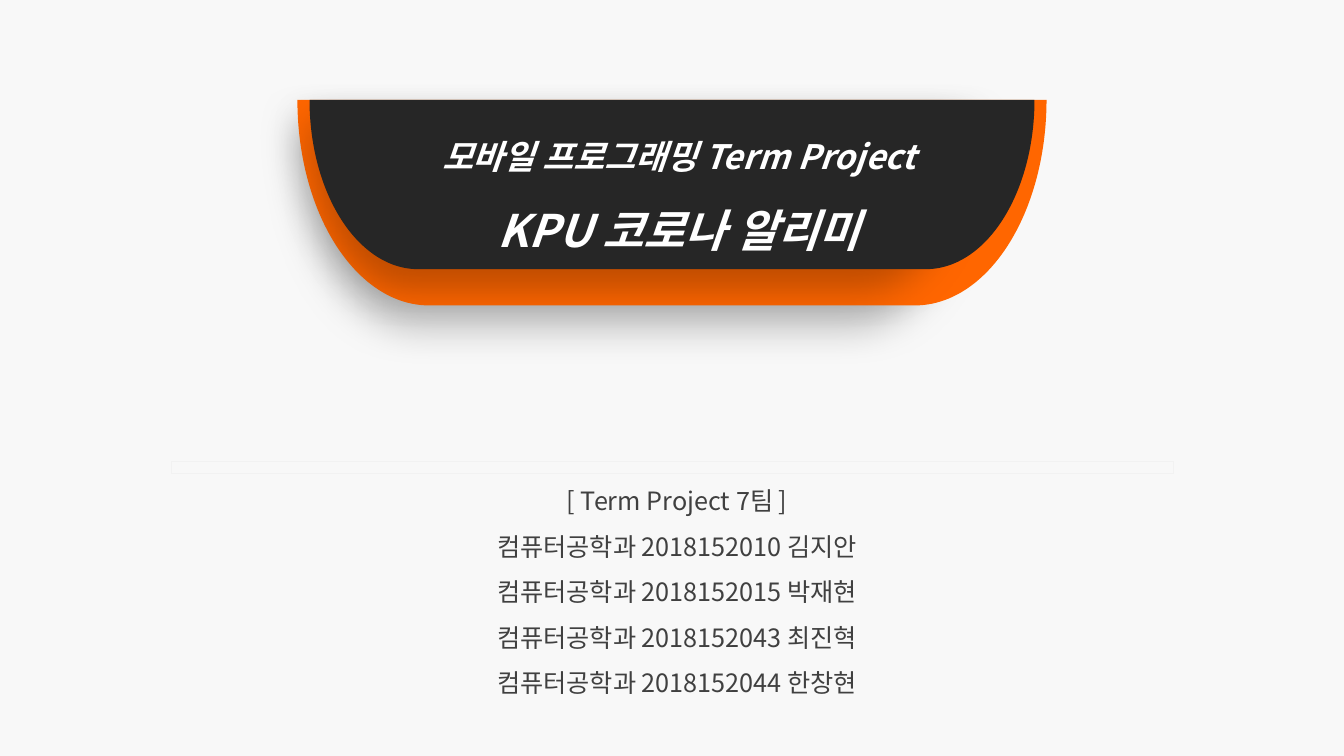
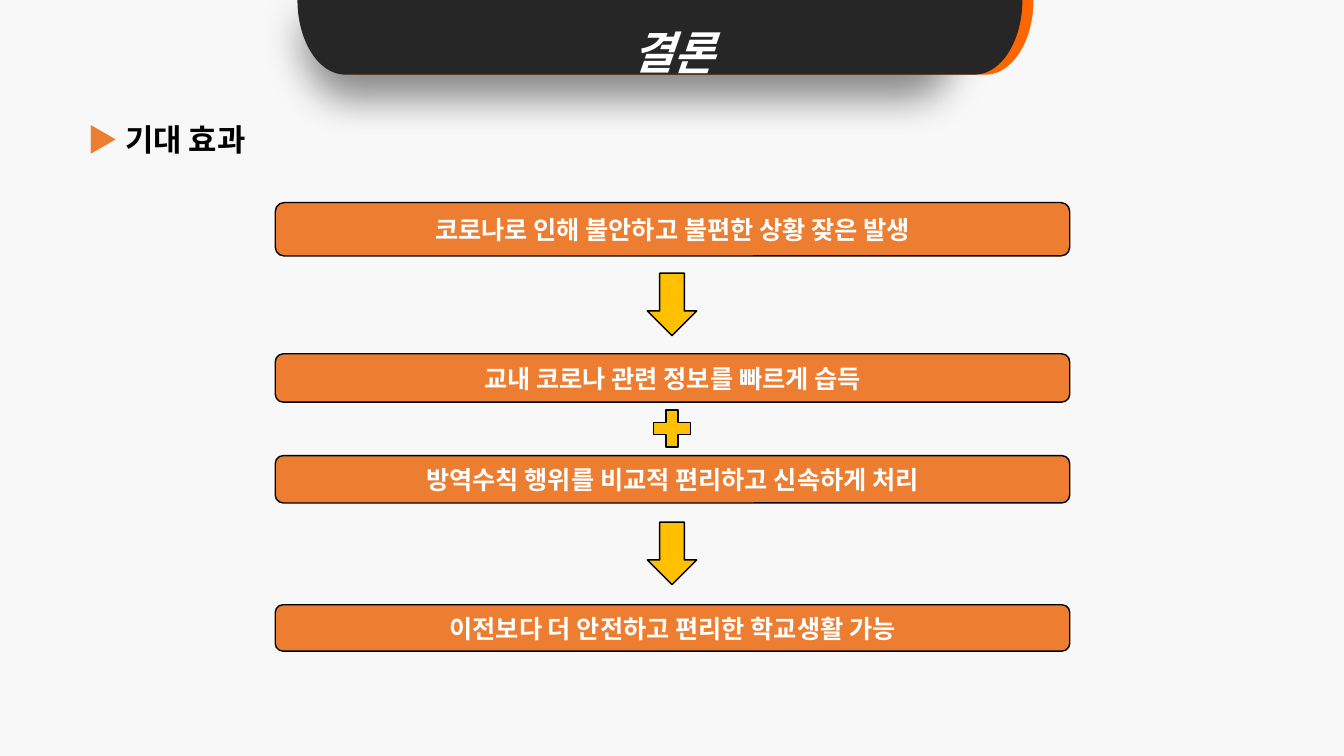
from lxml import etree
from pptx import Presentation
from pptx.dml.color import RGBColor
from pptx.enum import shapes, text
from pptx.oxml import ns
from pptx.util import Pt

PX = 9144
SLIDE_WIDTH, SLIDE_HEIGHT = 1333, 750
FONT = "Noto Sans CJK KR"
BACKGROUND = RGBColor(0xF8, 0xF8, 0xF8)
DARK = RGBColor(0x26, 0x26, 0x26)
BRIGHT_ORANGE = RGBColor(0xFF, 0x66, 0x00)
ORANGE = RGBColor(0xED, 0x7D, 0x31)
YELLOW = RGBColor(0xFF, 0xC0, 0x00)
GRAY = RGBColor(0x40, 0x40, 0x40)
PALE = RGBColor(0xF2, 0xF2, 0xF2)
BLACK = RGBColor(0x00, 0x00, 0x00)
WHITE = RGBColor(0xFF, 0xFF, 0xFF)

MEMBERS = [
    "[ Term Project 7팀 ]",
    "컴퓨터공학과 2018152010 김지안",
    "컴퓨터공학과 2018152015 박재현",
    "컴퓨터공학과 2018152043 최진혁",
    "컴퓨터공학과 2018152044 한창현",
]
STEPS = [
    (201, 53, "코로나로 인해 불안하고 불편한 상황 잦은 발생"),
    (351, 48, "교내 코로나 관련 정보를 빠르게 습득"),
    (452, 47, "방역수칙 행위를 비교적 편리하고 신속하게 처리"),
    (600, 46, "이전보다 더 안전하고 편리한 학교생활 가능"),
]


def to_emu(*lengths):
    """Turn px lengths into whole EMU."""
    return [round(length * PX) for length in lengths]


def add_child(parent, tag, **attributes):
    """Append a DrawingML element and return it."""
    child = etree.SubElement(parent, ns.qn(tag))
    for name, value in attributes.items():
        child.set(name, str(value))
    return child


def format_run(run, size, color, bold=False, italic=False):
    """Give a run its font, size, colour and style."""
    font = run.font
    font.size, font.bold, font.italic = Pt(size), bold, italic
    font.color.rgb = color
    font.name = FONT
    add_child(run.font._element, "a:ea", typeface=FONT)


def add_slide(presentation):
    """Add a blank slide with the shared background."""
    slide = presentation.slides.add_slide(presentation.slide_layouts[6])
    slide.background.fill.solid()
    slide.background.fill.fore_color.rgb = BACKGROUND
    return slide


def add_shape(slide, kind, box, fill=None, line=None):
    """Add a preset shape with a flat fill and a thin outline."""
    shape = slide.shapes.add_shape(kind, *to_emu(*box))
    shape.shadow.inherit = False
    if fill is None:
        shape.fill.background()
    else:
        shape.fill.solid()
        shape.fill.fore_color.rgb = fill
    if line is None:
        shape.line.fill.background()
    else:
        shape.line.color.rgb = line
        shape.line.width = Pt(1)
    return shape


def add_tab(slide, box, color):
    """Add a hanging tab, a bracket turned to open upwards, with a soft shadow."""
    left, top, width, height = box
    turned = (left + (width - height) / 2, top + (height - width) / 2, height, width)
    shape = add_shape(slide, shapes.MSO_SHAPE.LEFT_BRACKET, turned, color)
    shape.rotation = 270
    shape.adjustments[0] = 0.64
    effects = shape._element.spPr.find(ns.qn("a:effectLst"))
    shadow = add_child(effects, "a:outerShdw", blurRad=Pt(29), dist=Pt(15),
                       dir=5400000, sx=90000, algn="tl", rotWithShape=0)
    add_child(add_child(shadow, "a:srgbClr", val=BLACK), "a:alpha", val=25000)


def add_text(slide, box, lines, color, bold=False, italic=False):
    """Add centred lines, each a pair of wording and size."""
    frame = slide.shapes.add_textbox(*to_emu(*box)).text_frame
    frame.word_wrap = True
    frame.text = "\n".join(wording for wording, _ in lines)
    for paragraph, (_, size) in zip(frame.paragraphs, lines):
        paragraph.alignment = text.PP_ALIGN.CENTER
        paragraph.line_spacing = 1.5
        format_run(paragraph.runs[0], size, color, bold, italic)


def add_title(slide, box, lines):
    """Add the white slanted title of a tab."""
    add_text(slide, box, lines, WHITE, bold=True, italic=True)


def add_heading(slide, box, wording):
    """Add a section heading led by a triangle."""
    frame = slide.shapes.add_textbox(*to_emu(*box)).text_frame
    frame.word_wrap = True
    paragraph = frame.paragraphs[0]
    paragraph.line_spacing = 0.9
    for piece, color, bold in (("▶ ", ORANGE, False), (wording, BLACK, True)):
        run = paragraph.add_run()
        run.text = piece
        format_run(run, 22, color, bold)


def add_step(slide, top, height, wording):
    """Add a rounded step bar with its wording."""
    shape = add_shape(slide, shapes.MSO_SHAPE.ROUNDED_RECTANGLE,
                      (273, top, 788, height), ORANGE, BLACK)
    frame = shape.text_frame
    frame.text = wording
    frame.vertical_anchor = text.MSO_ANCHOR.MIDDLE
    paragraph = frame.paragraphs[0]
    paragraph.alignment = text.PP_ALIGN.CENTER
    format_run(paragraph.runs[0], 18, WHITE, bold=True)


def add_sign(slide, kind, top, width, height):
    """Add a yellow sign centred between two steps."""
    box = ((SLIDE_WIDTH - width) / 2, top, width, height)
    return add_shape(slide, kind, box, YELLOW, BLACK)


def build_cover(presentation):
    """Build the cover with the project name and the team."""
    slide = add_slide(presentation)
    add_tab(slide, (295, 99, 743, 204), BRIGHT_ORANGE)
    add_tab(slide, (307, 99, 719, 168), DARK)
    add_title(slide, (348, 110, 651, 110),
              [("모바일 프로그래밍 Term Project", 24), ("KPU 코로나 알리미", 32)])
    add_text(slide, (406, 462, 531, 235), [(member, 18) for member in MEMBERS], GRAY)
    add_shape(slide, shapes.MSO_SHAPE.RECTANGLE, (170, 458, 994, 12), line=PALE)


def build_conclusion(presentation):
    """Build the conclusion with its chain of effects."""
    slide = add_slide(presentation)
    for left, color in ((306, BRIGHT_ORANGE), (295, DARK)):
        add_tab(slide, (left, 0, 719, 74), color)
    add_title(slide, (612, -7, 113, 91), [("결론", 32)])
    add_heading(slide, (77, 119, 1228, 73), "기대 효과")
    for top, height, wording in STEPS:
        add_step(slide, top, height, wording)
    for top in (271, 518):
        add_sign(slide, shapes.MSO_SHAPE.DOWN_ARROW, top, 49, 62)
    add_sign(slide, shapes.MSO_SHAPE.MATH_PLUS, 400, 50, 50)


def main():
    """Build and save the presentation."""
    presentation = Presentation()
    presentation.slide_width, presentation.slide_height = to_emu(SLIDE_WIDTH, SLIDE_HEIGHT)
    build_cover(presentation)
    build_conclusion(presentation)
    presentation.save("out.pptx")


if __name__ == "__main__":
    main()
